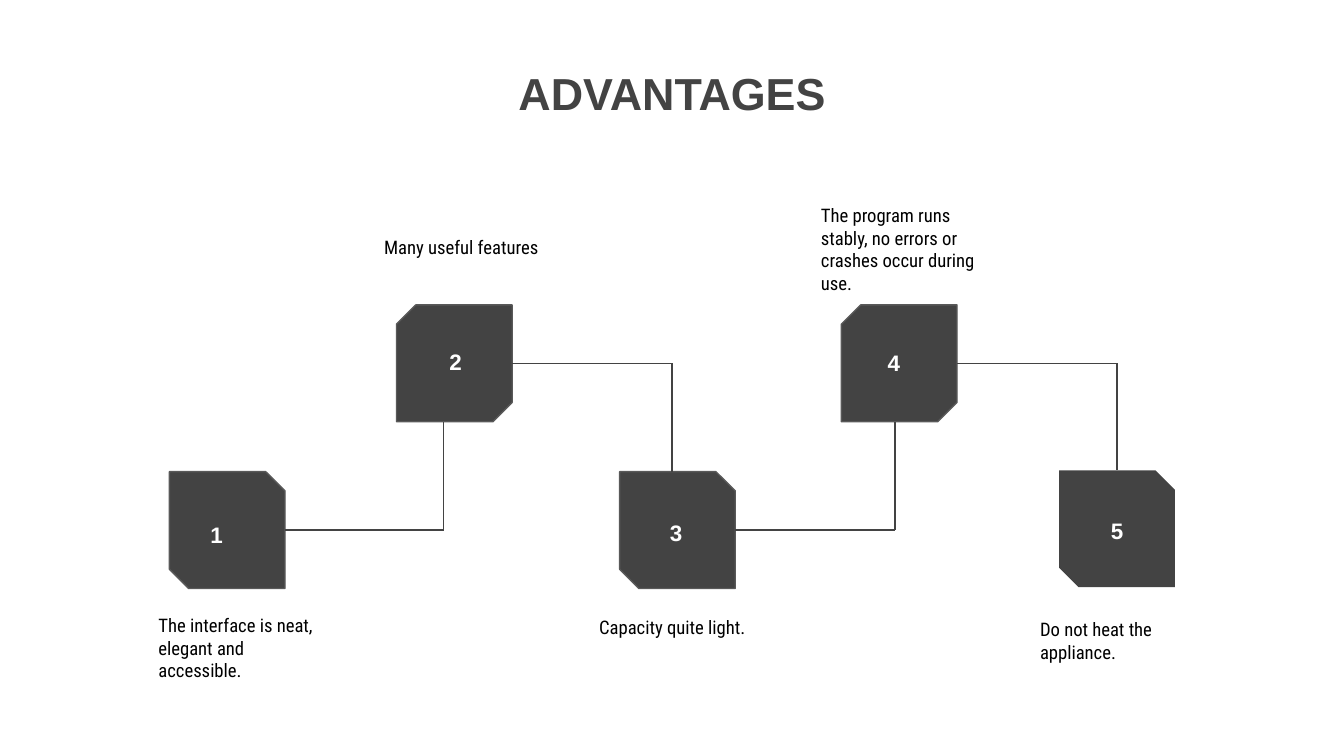
from pptx import Presentation
from pptx.dml.color import RGBColor
from pptx.enum.shapes import MSO_CONNECTOR, MSO_SHAPE
from pptx.enum.text import PP_ALIGN
from pptx.oxml import parse_xml
from pptx.util import Pt

TITLE = "ADVANTAGES"
# Each step: text, box corner, number corner, note corner
STEPS = [
    ("The interface is neat, elegant and accessible.",
     (90.7, 252.7), (85, 272.2), (77.8, 321.8)),
    ("Many useful features",
     (212.4, 163.4), (213.1, 179.3), (198.7, 120.2)),
    ("Capacity quite light.",
     (331.9, 252.7), (331.2, 270.7), (313.9, 324)),
    ("The program runs stably, no errors or crashes occur during use.",
     (450.7, 163.4), (447.8, 180), (432.7, 102.2)),
    ("Do not heat the appliance.",
     (567.4, 252), (567.4, 270), (550.1, 324)),
]
TURNS = [237.6, 360, 479.5, 598.4]  # x where each link bends
WIDE, HIGH = 62, 62.6
SNIP = 0.167
DARK, EDGE = "434343", "595959"
EMPTY = ('<a:effectLst xmlns:a='
         '"http://schemas.openxmlformats.org/drawingml/2006/main"/>')


def color(code):
    return RGBColor.from_string(code)


def add_text(slide, text, spot, size, font, points, code,
             bold=False, align=PP_ALIGN.LEFT):
    box = slide.shapes.add_textbox(*map(Pt, spot + size))
    frame = box.text_frame
    frame.word_wrap = True
    frame.margin_left = frame.margin_right = Pt(7.2)
    frame.margin_top = frame.margin_bottom = Pt(7.2)
    para = frame.paragraphs[0]
    para.text = text
    para.alignment = align
    para.font.name = font
    para.font.size = Pt(points)
    para.font.bold = bold
    para.font.color.rgb = color(code)


def add_box(slide, spot, raised, edged):
    box = slide.shapes.add_shape(MSO_SHAPE.SNIP_2_DIAG_RECTANGLE,
                                 *map(Pt, spot + (WIDE, HIGH)))
    box.adjustments[0] = SNIP if raised else 0
    box.adjustments[1] = 0 if raised else SNIP
    box.shadow.inherit = False
    box.fill.solid()
    box.fill.fore_color.rgb = color(DARK)
    if edged:
        box.line.color.rgb = color(EDGE)
        box.line.width = Pt(0.75)
    else:
        box.line.fill.background()
    return box


def add_line(slide, *ends):
    line = slide.shapes.add_connector(MSO_CONNECTOR.STRAIGHT, *map(Pt, ends))
    line.line.color.rgb = color(DARK)
    line.line.width = Pt(0.75)
    line._element.spPr.append(parse_xml(EMPTY))
    return line


def main():
    deck = Presentation()
    deck.slide_width, deck.slide_height = Pt(720), Pt(405)
    slide = deck.slides.add_slide(deck.slide_layouts[6])

    # Title
    add_text(slide, TITLE, (154.8, 28.1), (410.4, 74.2), "Arial", 24, DARK,
             True, PP_ALIGN.CENTER)

    # Boxes: every second one is raised, the last has no edge
    last = len(STEPS) - 1
    boxes = [add_box(slide, step[1], i % 2 == 1, i < last)
             for i, step in enumerate(STEPS)]

    # Links: across from one box, then up or down to the next
    for i, turn in enumerate(TURNS):
        left, top = STEPS[i][1]
        mid = top + HIGH / 2
        goal = STEPS[i + 1][1][1]
        if goal < top:
            goal += HIGH
        across = add_line(slide, left + WIDE, mid, turn, mid)
        across.begin_connect(boxes[i], 3)
        drop = add_line(slide, turn, mid, turn, goal)
        if i + 1 == last:
            drop.end_connect(boxes[last], 0)

    # Numbers and notes
    for i, (note, _, spot, place) in enumerate(STEPS, 1):
        add_text(slide, str(i), spot, (WIDE, 31), "Arial", 12, "FFFFFF",
                 True, PP_ALIGN.CENTER)
        add_text(slide, note, place, (97.2, 47.5), "Roboto Condensed", 10,
                 "000000")

    deck.save("out.pptx")


if __name__ == "__main__":
    main()
